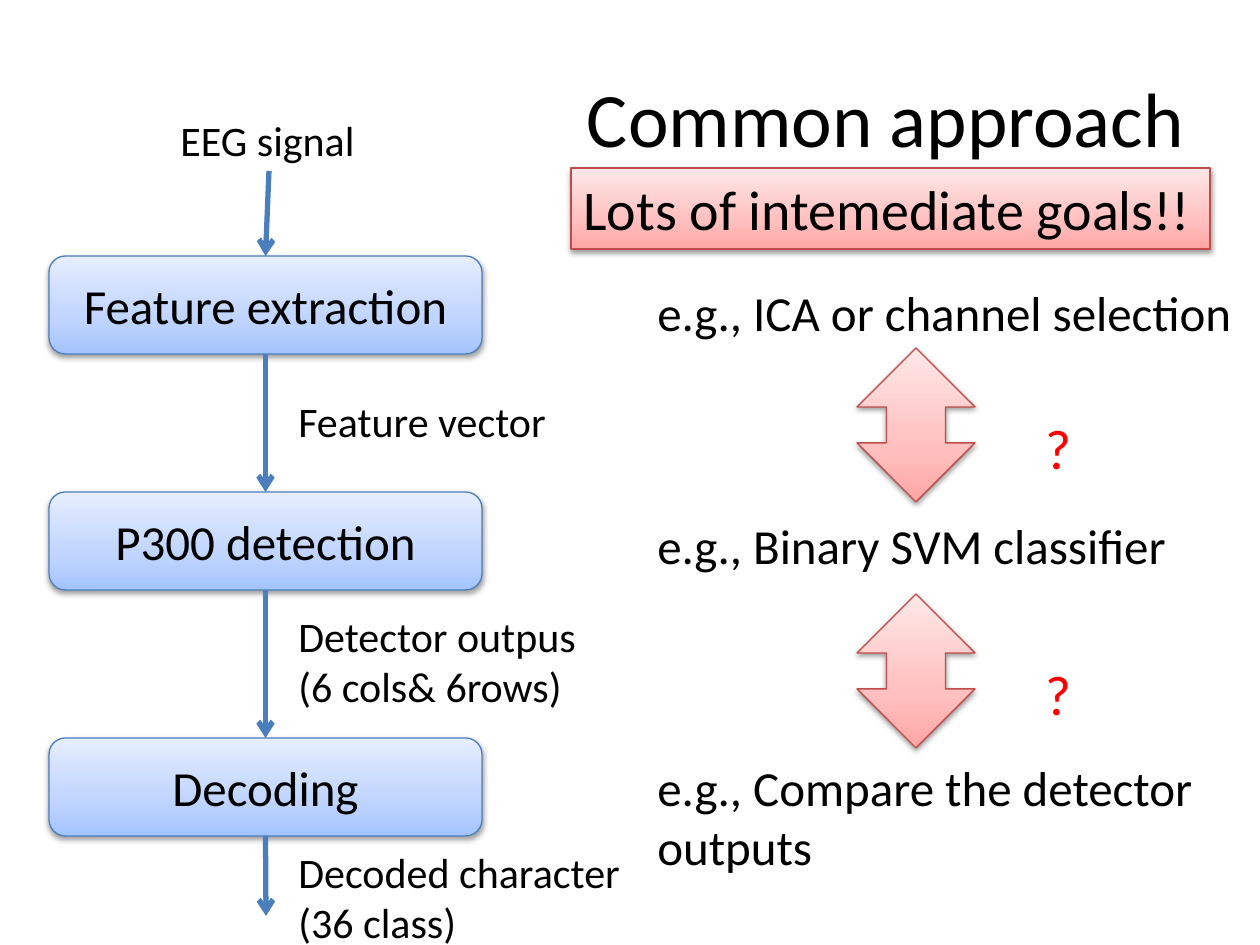
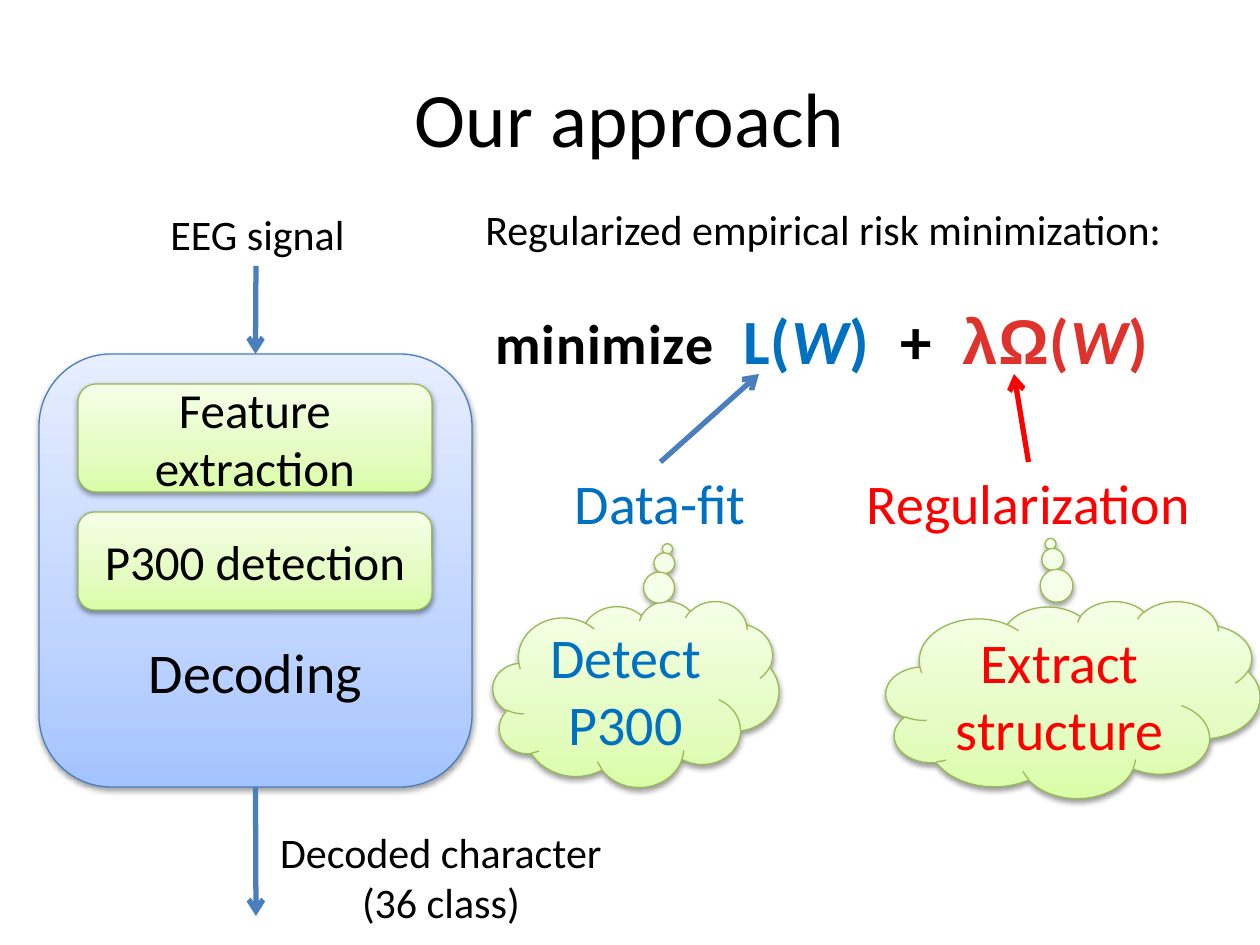
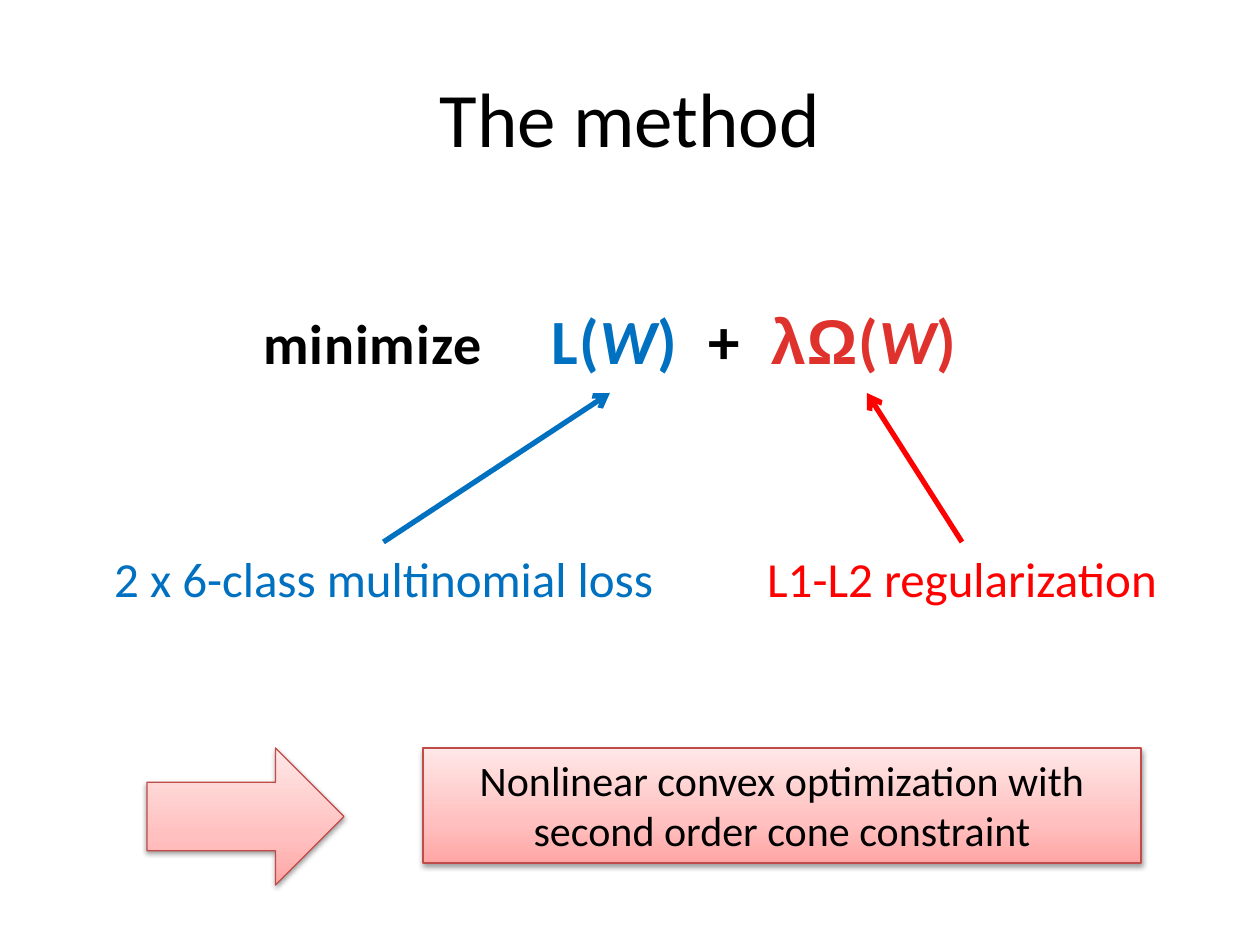
import copy
import lxml.etree
import pptx
import pptx.dml.color
import pptx.enum.shapes
import pptx.enum.text
import pptx.oxml.ns
import pptx.util

RGBColor = pptx.dml.color.RGBColor
Shape = pptx.enum.shapes.MSO_SHAPE
Anchor = pptx.enum.text.MSO_ANCHOR
Align = pptx.enum.text.PP_ALIGN
AutoSize = pptx.enum.text.MSO_AUTO_SIZE
qn = pptx.oxml.ns.qn

PX = 914400 / 126
SLIDE_SIZE = (1260, 945)
TOP, BOTTOM = 0, 2

BLACK = RGBColor(0x00, 0x00, 0x00)
ARROW_BLUE = RGBColor(0x4B, 0x7E, 0xBC)
TEXT_BLUE = RGBColor(0x00, 0x70, 0xC0)
RED = RGBColor(0xFF, 0x00, 0x00)
PENALTY_RED = RGBColor(0xE0, 0x32, 0x2D)

STOP_POSITIONS = (0, 0.35, 1)
PALETTES = {
    "blue": ((RGBColor(0xA4, 0xC4, 0xFF), RGBColor(0xBF, 0xD4, 0xFF), RGBColor(0xE6, 0xEE, 0xFF)), ARROW_BLUE),
    "red": ((RGBColor(0xFF, 0xA6, 0xA5), RGBColor(0xFF, 0xC0, 0xBF), RGBColor(0xFF, 0xE7, 0xE7)), RGBColor(0xBF, 0x4C, 0x48)),
    "green": ((RGBColor(0xDA, 0xFD, 0xA7), RGBColor(0xE4, 0xFC, 0xC2), RGBColor(0xF5, 0xFF, 0xE7)), RGBColor(0x98, 0xB9, 0x55)),
}

TITLE_BOX = (63, 38, 1134, 158)
CENTERED = {"word_wrap": True, "vertical_anchor": Anchor.MIDDLE}
FITTED = {"word_wrap": False, "auto_size": AutoSize.SHAPE_TO_FIT_TEXT, "vertical_anchor": Anchor.TOP}
FITTED_WRAPPED = {**FITTED, "word_wrap": True}

INPUT_LABEL = "EEG signal"
OUTPUT_LABEL = ("Decoded character", "(36 class)")

STAGE_LEFT, STAGE_WIDTH, STAGE_HEIGHT = 49, 433, 98
STAGES = (("Feature extraction", 256), ("P300 detection", 492), ("Decoding", 738))
STAGE_OUTPUTS = (
    (("Feature vector",), (286, 389, 276, 63)),
    (("Detector outpus", "(6 cols& 6rows)"), (286, 604, 305, 115)),
    (OUTPUT_LABEL, (286, 840, 350, 115)),
)
EXAMPLES = (
    ("e.g., ICA or channel selection", (645, 276, 615, 72), FITTED),
    ("e.g., Binary SVM classifier", (645, 509, 539, 72), FITTED),
    ("e.g., Compare the detector outputs", (645, 751, 571, 131), FITTED_WRAPPED),
)
MISMATCH_TOPS = (348, 594)

DECODER_BOX = (39, 354, 433, 433)
DECODER_PARTS = (
    ("P300 detection", (78, 512, 354, 98)),
    ("Feature extraction", (78, 384, 354, 108)),
)
RISK_TERMS = (
    ("Data-fit", (561, 462, 199, 81), TEXT_BLUE, ARROW_BLUE, (759, 374)),
    ("Regularization", (852, 462, 353, 81), RED, RED, (1014, 374)),
)
THOUGHTS = (
    ("Detect P300", (493, 601, 286, 186), TEXT_BLUE, (0.11, -0.78)),
    ("Extract structure", (886, 601, 374, 197), RED, (-0.06, -0.79)),
)
METHOD_TERMS = (
    ("2 x 6-class multinomial loss", (98, 542, 571, 72), TEXT_BLUE, TEXT_BLUE, (610, 393)),
    ("L1-L2 regularization", (748, 542, 428, 72), RED, RED, (867, 393)),
)
CONCLUSION = "Nonlinear convex optimization with second order cone constraint"


def emu(*lengths):
    return [round(length * PX) for length in lengths]


def set_values(target, values):
    for name, value in values.items():
        setattr(target, name, value)


def add_run(paragraph, text, size, color, font="Calibri", bold=False, italic=False, spacing=0):
    run = paragraph.add_run()
    run.text = text
    set_values(run.font, {"name": font, "size": pptx.util.Pt(size), "bold": bold, "italic": italic})
    run.font.color.rgb = color
    if spacing:
        run.font._element.set("spc", str(round(spacing * 100)))


def write(shape, lines, size, color=BLACK, alignment=Align.LEFT, frame=FITTED):
    text_frame = shape.text_frame
    set_values(text_frame, frame)
    for index, line in enumerate((lines,) if isinstance(lines, str) else lines):
        paragraph = text_frame.add_paragraph() if index else text_frame.paragraphs[0]
        paragraph.alignment = alignment
        add_run(paragraph, line, size, color)


def add_label(slide, lines, box, size, **text_format):
    label = slide.shapes.add_textbox(*emu(*box))
    write(label, lines, size, **text_format)
    return label


def add_panel(slide, preset, box, palette, adjustments=()):
    panel = slide.shapes.add_shape(preset, *emu(*box))
    for index, value in enumerate(adjustments):
        panel.adjustments[index] = value
    colors, line_color = PALETTES[palette]
    panel.fill.gradient()
    panel.fill.gradient_angle = 90
    stop_list = panel._element.spPr.find(".//" + qn("a:gsLst"))
    stop_list.append(copy.deepcopy(stop_list[-1]))
    for stop, position, color in zip(panel.fill.gradient_stops, STOP_POSITIONS, colors):
        stop.position = position
        stop.color.rgb = color
    panel.line.color.rgb = line_color
    panel.line.width = pptx.util.Pt(0.75)
    panel.shadow.inherit = False
    effects = panel._element.spPr.find(qn("a:effectLst"))
    shadow = lxml.etree.SubElement(effects, qn("a:outerShdw"), blurRad="40000", dist="20000", dir="5400000", rotWithShape="0")
    shadow_color = lxml.etree.SubElement(shadow, qn("a:srgbClr"), val="000000")
    lxml.etree.SubElement(shadow_color, qn("a:alpha"), val="38000")
    return panel


def add_box(slide, text, box, palette, size=28):
    panel = add_panel(slide, Shape.ROUNDED_RECTANGLE, box, palette)
    write(panel, text, size, alignment=Align.CENTER, frame=CENTERED)
    return panel


def add_arrow(slide, start, end, color=ARROW_BLUE):
    points = [(0, 0) if hasattr(point[0], "shape_id") else point for point in (start, end)]
    arrow = slide.shapes.add_connector(pptx.enum.shapes.MSO_CONNECTOR.STRAIGHT, *emu(*points[0], *points[1]))
    for connect, point in ((arrow.begin_connect, start), (arrow.end_connect, end)):
        if hasattr(point[0], "shape_id"):
            connect(*point)
    arrow.line.color.rgb = color
    arrow.line.width = pptx.util.Pt(3)
    properties = arrow._element.spPr
    lxml.etree.SubElement(properties.find(qn("a:ln")), qn("a:tailEnd"), type="arrow")
    lxml.etree.SubElement(properties, qn("a:effectLst"))


def add_formula(slide, box, first_gap):
    label = slide.shapes.add_textbox(*emu(*box))
    set_values(label.text_frame, FITTED)
    paragraph = label.text_frame.paragraphs[0]
    gap = {"spacing": 9.1}
    italic = {"italic": True}
    runs = (
        ("minimize", BLACK, {"size": 32}),
        (" ", BLACK, {"spacing": first_gap}),
        ("L(", TEXT_BLUE, {}),
        ("W", TEXT_BLUE, italic),
        (")", TEXT_BLUE, {}),
        (" ", BLACK, gap),
        ("+", BLACK, {}),
        (" ", BLACK, gap),
        ("λΩ", PENALTY_RED, {"font": "Arial"}),
        ("(", PENALTY_RED, {}),
        ("W", PENALTY_RED, italic),
        (")", PENALTY_RED, {}),
    )
    for text, color, changes in runs:
        add_run(paragraph, text, color=color, **{"size": 36, "bold": True, "spacing": 0.5, **changes})


def add_terms(slide, terms, size):
    for text, box, color, arrow_color, tip in terms:
        label = add_label(slide, text, box, size, color=color, alignment=Align.CENTER)
        add_arrow(slide, (label, TOP), tip, arrow_color)


def add_slide(presentation, title, alignment=Align.CENTER):
    slide = presentation.slides.add_slide(presentation.slide_layouts[6])
    add_label(slide, title, TITLE_BOX, 44, alignment=alignment, frame=CENTERED)
    return slide


def build_common_approach(presentation):
    slide = add_slide(presentation, "Common approach", Align.RIGHT)
    source = add_label(slide, INPUT_LABEL, (168, 108, 202, 63), 24)
    for text, top in STAGES:
        stage = add_box(slide, text, (STAGE_LEFT, top, STAGE_WIDTH, STAGE_HEIGHT), "blue")
        add_arrow(slide, (source, BOTTOM), (stage, TOP))
        source = stage
    add_arrow(slide, (source, BOTTOM), (266, 916))
    for lines, box in STAGE_OUTPUTS:
        add_label(slide, lines, box, 24)
    for text, box, frame in EXAMPLES:
        add_label(slide, text, box, 28, frame=frame)
    for top in MISMATCH_TOPS:
        add_panel(slide, Shape.UP_DOWN_ARROW, (857, top, 118, 154), "red")
        add_label(slide, "?", (1033, top + 59, 52, 81), 32, color=RED, frame=FITTED_WRAPPED)
    goals = add_panel(slide, Shape.RECTANGLE, (571, 168, 639, 81), "red")
    write(goals, "Lots of intemediate goals!!", 32)


def build_our_approach(presentation):
    slide = add_slide(presentation, "Our approach")
    add_label(slide, "Regularized empirical risk minimization:", (473, 197, 708, 63), 24)
    add_formula(slide, (483, 295, 682, 89), 8.2)
    add_terms(slide, RISK_TERMS, 32)
    add_label(slide, INPUT_LABEL, (158, 202, 202, 63), 24)
    decoder = add_box(slide, "Decoding", DECODER_BOX, "blue", 32)
    decoder.text_frame.margin_top = emu(207)[0]
    add_arrow(slide, (256, 266), (decoder, TOP))
    add_arrow(slide, (decoder, BOTTOM), (256, 916))
    add_label(slide, OUTPUT_LABEL, (266, 820, 350, 115), 24, alignment=Align.CENTER)
    for text, box in DECODER_PARTS:
        add_box(slide, text, box, "green")
    for text, box, color, adjustments in THOUGHTS:
        cloud = add_panel(slide, Shape.CLOUD_CALLOUT, box, "green", adjustments)
        write(cloud, text, 32, color, Align.CENTER, CENTERED)


def build_method(presentation):
    slide = add_slide(presentation, "The method")
    add_formula(slide, (251, 295, 723, 89), 31.3)
    add_terms(slide, METHOD_TERMS, 28)
    add_panel(slide, Shape.RIGHT_ARROW, (147, 748, 197, 137), "red")
    conclusion = add_panel(slide, Shape.RECTANGLE, (423, 748, 718, 115), "red")
    write(conclusion, CONCLUSION, 24, alignment=Align.CENTER, frame=FITTED_WRAPPED)


def main():
    presentation = pptx.Presentation()
    presentation.slide_width, presentation.slide_height = emu(*SLIDE_SIZE)
    build_common_approach(presentation)
    build_our_approach(presentation)
    build_method(presentation)
    presentation.save("out.pptx")


if __name__ == "__main__":
    main()
